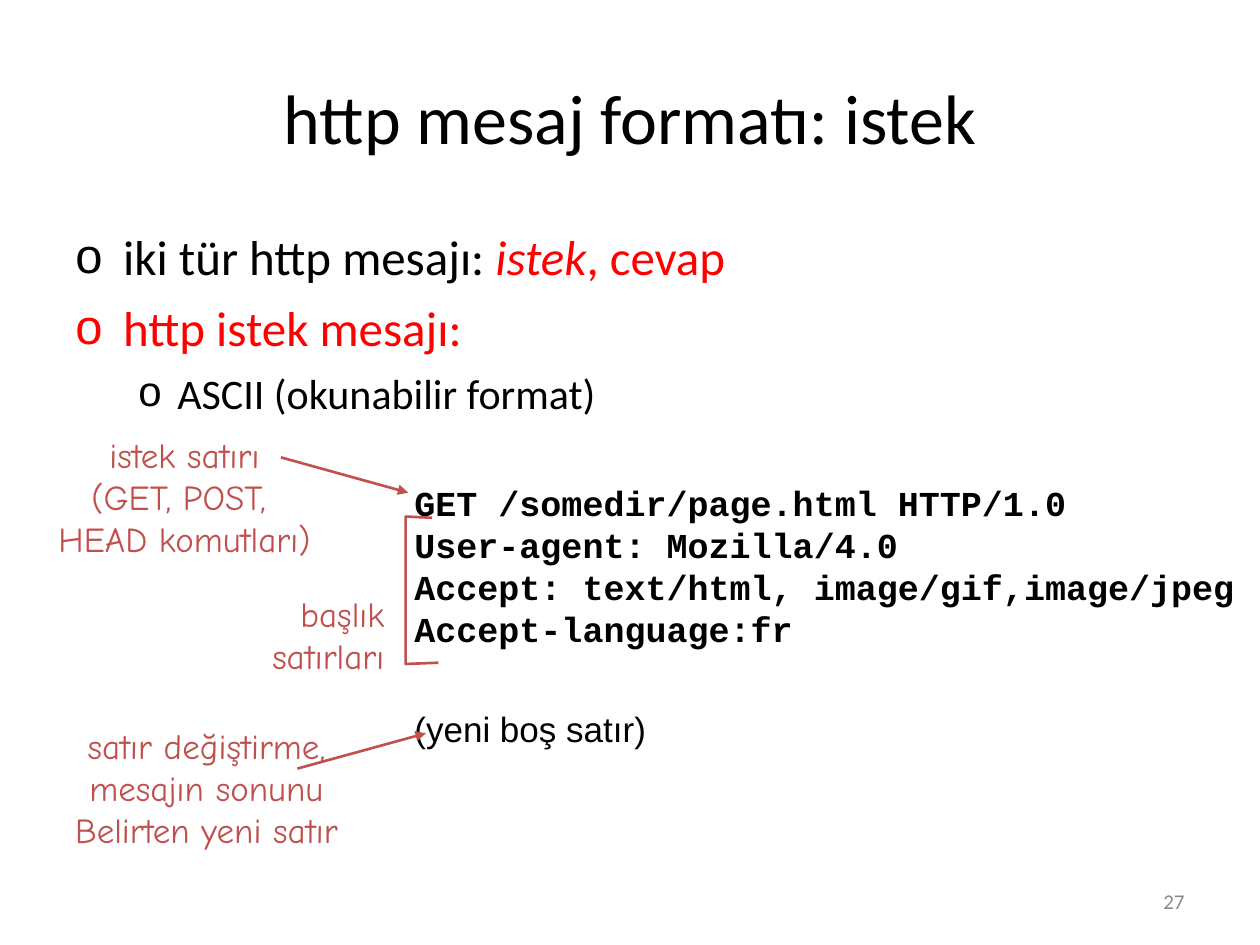
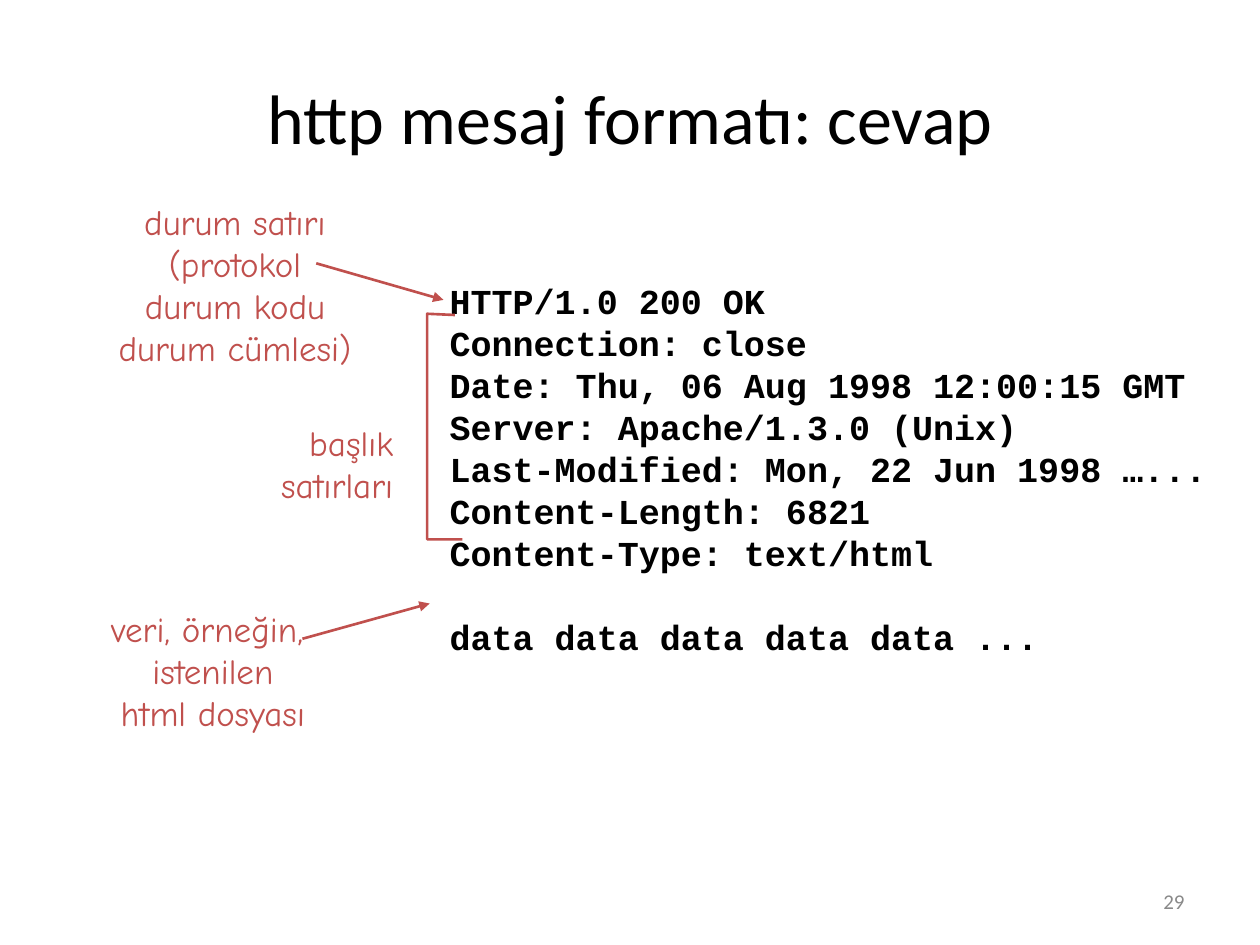
"""Build two slides on the HTTP request and response message formats."""
from lxml.etree import SubElement
from pptx import Presentation
from pptx.dml.color import RGBColor
from pptx.enum.shapes import MSO_CONNECTOR
from pptx.enum.text import MSO_ANCHOR, MSO_AUTO_SIZE, PP_ALIGN
from pptx.oxml.ns import qn
from pptx.util import Inches, Pt

BLACK = RGBColor(0x00, 0x00, 0x00)
RED = RGBColor(0xFF, 0x00, 0x00)
BRICK = RGBColor(0xC0, 0x50, 0x4D)
GREY = RGBColor(0x89, 0x89, 0x89)
LEFT, MID, RIGHT = PP_ALIGN.LEFT, PP_ALIGN.CENTER, PP_ALIGN.RIGHT


def style(para, name, size, color):
    para.font.name = name
    para.font.size = Pt(size)
    para.font.color.rgb = color


def add_text(slide, box, lines, name, size, color, align=LEFT, fit=False):
    frame = slide.shapes.add_textbox(*map(Inches, box)).text_frame
    frame.word_wrap = not fit
    if fit:
        frame.auto_size = MSO_AUTO_SIZE.SHAPE_TO_FIT_TEXT
    else:
        frame.vertical_anchor = MSO_ANCHOR.MIDDLE
    for i, line in enumerate(lines):
        para = frame.add_paragraph() if i else frame.paragraphs[0]
        para.text = line
        para.alignment = align
        if fit:
            para.line_spacing = Pt(24)
        style(para, name, size, color)
    return frame


HEADS = ["başlık", "satırları"]
PAGES = [
    dict(
        title="http mesaj formatı: istek", page="27",
        code=((3.19, 3.77, 6.88, 2.24), [
            "GET /somedir/page.html HTTP/1.0",
            "User-agent: Mozilla/4.0",
            "Accept: text/html, image/gif,image/jpeg",
            "Accept-language:fr",
            "(yeni boş satır)"]),
        gap=33,
        notes=[
            ((0.36, 3.39, 2.21, 1.1), MID,
             ["istek satırı", "(GET, POST, ", "HEAD komutları)"]),
            ((1.97, 4.65, 1.18, 0.77), RIGHT, HEADS),
            ((0.49, 5.7, 2.39, 1.1), MID,
             ["satır değiştirme, ", "mesajın sonunu ", "Belirten yeni satır "])],
        arrows=[(2.23, 3.63, 3.24, 3.91), (2.36, 6.1, 3.38, 5.82)],
        brace=[(3.43, 4.11), (3.22, 4.1), (3.22, 5.27), (3.48, 5.26)]),
    dict(
        title="http mesaj formatı: cevap", page="29",
        code=((3.47, 2.17, 6.38, 3.1), [
            "HTTP/1.0 200 OK",
            "Connection: close",
            "Date: Thu, 06 Aug 1998 12:00:15 GMT",
            "Server: Apache/1.3.0 (Unix)",
            "Last-Modified: Mon, 22 Jun 1998 …...",
            "Content-Length: 6821",
            "Content-Type: text/html",
            "data data data data data ..."]),
        gap=24,
        notes=[
            ((0.84, 1.54, 2.05, 1.44), MID,
             ["durum satırı", "(protokol", "durum kodu", "durum cümlesi)"]),
            ((2.04, 3.3, 1.18, 0.77), RIGHT, HEADS),
            ((0.78, 4.77, 1.82, 1.1), MID,
             ["veri, örneğin, ", "istenilen", "html dosyası"])],
        arrows=[(2.51, 2.09, 3.52, 2.38), (2.4, 5.07, 3.41, 4.79)],
        brace=[(3.61, 2.5), (3.39, 2.49), (3.39, 4.28), (3.67, 4.28)]),
]

deck = Presentation()
deck.slide_width, deck.slide_height = Inches(10), Inches(7.5)
slides, codes = [], []

for page in PAGES:
    slide = deck.slides.add_slide(deck.slide_layouts[6])
    slides.append(slide)
    add_text(slide, (0.5, 0.3, 9, 1.25), [page["title"]], "Calibri", 40, BLACK, MID)

    box, lines = page["code"]
    code = add_text(slide, box, lines, "Courier New", 20, BLACK, fit=True)
    for para in code.paragraphs:
        para.font.bold = True
    code.paragraphs[-1].space_before = Pt(page["gap"])
    codes.append(code)

    for box, align, lines in page["notes"]:
        add_text(slide, box, lines, "Comic Neue", 20, BRICK, align, fit=True)

    for ends in page["arrows"]:
        arrow = slide.shapes.add_connector(MSO_CONNECTOR.STRAIGHT, *map(Inches, ends))
        arrow.line.color.rgb = BRICK
        arrow.line.width = Pt(1.5)
        SubElement(arrow.line._get_or_add_ln(), qn("a:tailEnd"), type="triangle")
        SubElement(arrow._element.spPr, qn("a:effectLst"))

    start, *rest = [(Inches(x), Inches(y)) for x, y in page["brace"]]
    path = slide.shapes.build_freeform(*start)
    path.add_line_segments(rest, close=False)
    brace = path.convert_to_shape()
    brace.shadow.inherit = False
    brace.fill.background()
    brace.line.color.rgb = BRICK
    brace.line.width = Pt(1.5)

    add_text(slide, (7.17, 6.95, 2.33, 0.4), [page["page"]], "Calibri", 12, GREY, RIGHT)

blank = codes[0].paragraphs[-1]
blank.font.name = "Arial"
blank.font.bold = False

POINTS = [
    ([("iki tür http mesajı: ", BLACK), ("istek", RED), (", cevap", RED)],
     BLACK, 28, 0, 0.38, 0.38, 0),
    ([("http istek mesajı:", RED)], RED, 28, 0, 0.38, 0.38, 7),
    ([("ASCII (okunabilir format)", BLACK)], BLACK, 24, 1, 0.81, 0.31, 6),
]
body = slides[0].shapes.add_textbox(
    Inches(0.5), Inches(1.75), Inches(9), Inches(4.95)).text_frame
body.word_wrap = True
for i, (runs, color, size, level, margin, hang, before) in enumerate(POINTS):
    para = body.add_paragraph() if i else body.paragraphs[0]
    para.level = level
    if before:
        para.space_before = Pt(before)
    props = para._p.get_or_add_pPr()
    props.set("marL", str(Inches(margin)))
    props.set("indent", str(-Inches(hang)))
    tint = SubElement(props, qn("a:buClr"))
    SubElement(tint, qn("a:srgbClr"), val=str(color))
    SubElement(props, qn("a:buFont"), typeface="Arial")
    SubElement(props, qn("a:buChar"), char="o")
    style(para, "Calibri", size, color)
    for text, shade in runs:
        run = para.add_run()
        run.text = text
        if shade != color:
            run.font.color.rgb = shade
        if text == "istek":
            run.font.italic = True

deck.save("out.pptx")
